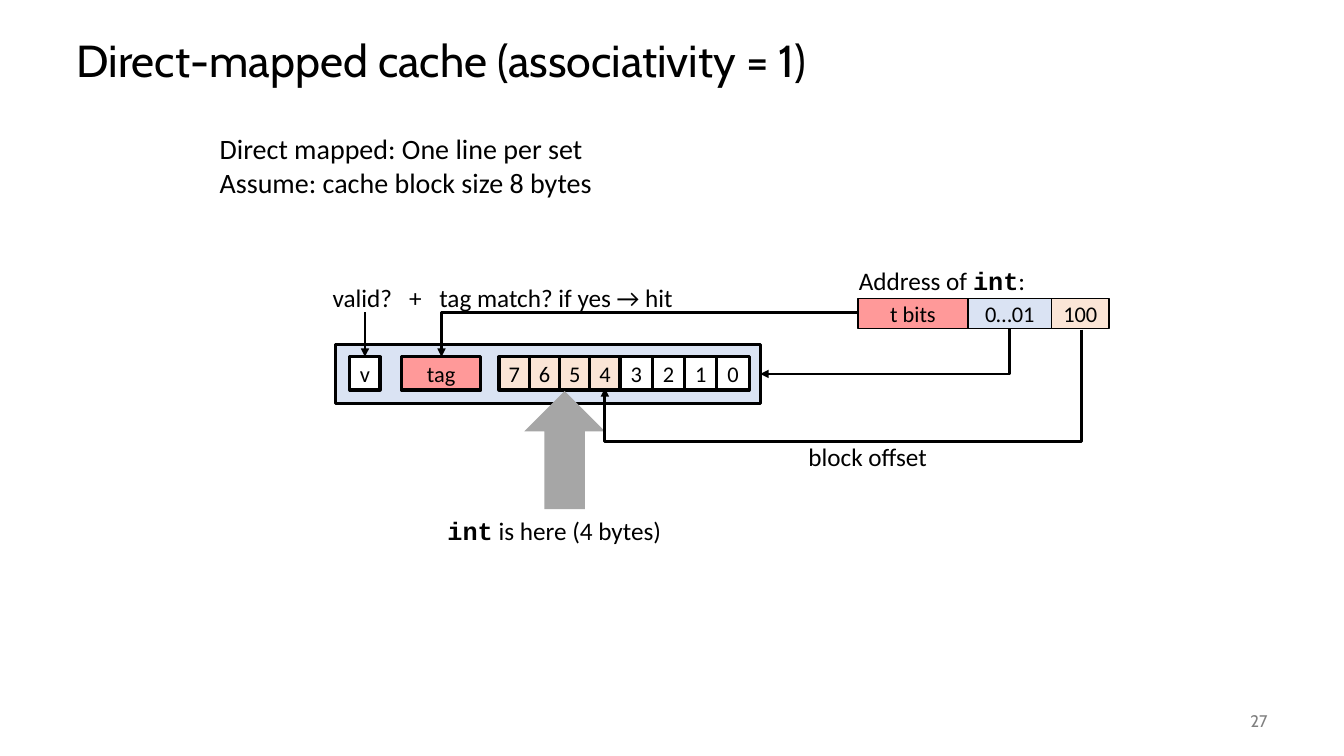
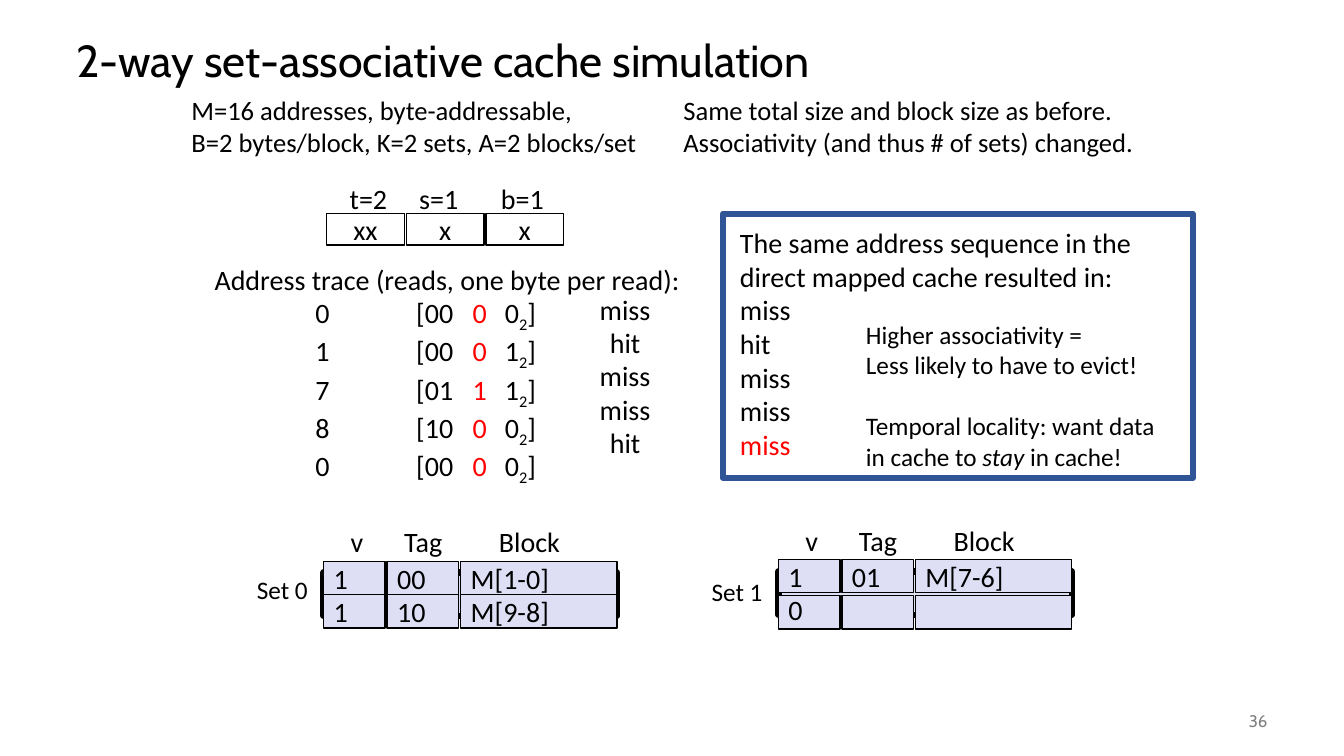
from lxml import etree
from pptx import Presentation
from pptx import util as u
from pptx.dml.color import RGBColor
from pptx.enum import shapes, text
from pptx.oxml.ns import qn

# Shared look
BLACK, WHITE, GREY, RED = "000000", "FFFFFF", "808080", "FF0000"
BLUE, PINK, PEACH = "DAE3F3", "FF9999", "FBE5D6"
LILAC, NAVY, ARROW_GREY = "DEDFF5", "2F5597", "A6A6A6"
BODY, HEADING = "Calibri", "Cabin"
CODE = dict(font="Courier New", bold=True)
LEFT, CENTER, RIGHT = text.PP_ALIGN.LEFT, text.PP_ALIGN.CENTER, text.PP_ALIGN.RIGHT
MIDDLE, TOP = text.MSO_ANCHOR.MIDDLE, text.MSO_ANCHOR.TOP


def rgb(color):
    return RGBColor.from_string(color)


def add_run(p, value, size, font=BODY, color=BLACK, bold=False, italic=False, sub=False):
    if value == "\n":
        p.add_line_break()
        return
    r = p.add_run()
    r.text = value
    f = r.font
    f.name, f.size, f.bold, f.italic = font, u.Pt(size), bold, italic
    f.color.rgb = rgb(color)
    if sub:
        r._r.get_or_add_rPr().set("baseline", "-25000")


def add_tabs(p, stops):
    tabs = etree.SubElement(p._p.get_or_add_pPr(), qn("a:tabLst"))
    for stop in stops:
        etree.SubElement(tabs, qn("a:tab"), pos=str(u.Inches(stop)), algn="l")


def write(sp, paragraphs, size=18, align=LEFT, anchor=TOP, inset=0.1,
          spacing=None, tabs=(), **style):
    """Each paragraph is a string or a list of strings and (string, style) pairs."""
    tf = sp.text_frame
    tf.word_wrap = True
    tf.vertical_anchor = anchor
    tf.margin_left = tf.margin_right = u.Inches(inset)
    tf.margin_top = tf.margin_bottom = u.Inches(inset / 2)
    for i, runs in enumerate(paragraphs):
        p = tf.add_paragraph() if i else tf.paragraphs[0]
        p.alignment = align
        if spacing:
            p.line_spacing = spacing
        if tabs:
            add_tabs(p, tabs)
        for item in [runs] if isinstance(runs, str) else runs:
            value, extra = (item, {}) if isinstance(item, str) else item
            add_run(p, value, size, **{**style, **extra})
    return tf


def label(s, x, y, w, h, *paragraphs, **style):
    sp = s.shapes.add_textbox(*map(u.Inches, (x, y, w, h)))
    return write(sp, paragraphs, **style)


def box(s, x, y, w, h, fill=None, line=BLACK, width=1.0, value=None,
        kind=shapes.MSO_SHAPE.RECTANGLE, **style):
    sp = s.shapes.add_shape(kind, *map(u.Inches, (x, y, w, h)))
    sp.shadow.inherit = False
    if fill:
        sp.fill.solid()
        sp.fill.fore_color.rgb = rgb(fill)
    else:
        sp.fill.background()
    if line:
        sp.line.color.rgb = rgb(line)
        sp.line.width = u.Pt(width)
    else:
        sp.line.fill.background()
    if value:
        write(sp, [value], anchor=MIDDLE, **style)
    return sp


def arrow(s, start, end, bend=None, adjust=(), tip="tailEnd"):
    """A straight arrow, or an elbow of the given preset with its adjustments."""
    kind = shapes.MSO_CONNECTOR.ELBOW if bend else shapes.MSO_CONNECTOR.STRAIGHT
    c = s.shapes.add_connector(kind, *map(u.Inches, (*start, *end)))
    c.line.color.rgb = rgb(BLACK)
    c.line.width = u.Pt(2)
    spPr = c._element.spPr
    if bend:
        geom = spPr.find(qn("a:prstGeom"))
        geom.set("prst", bend)
        guides = geom.find(qn("a:avLst"))
        if guides is None:
            guides = etree.SubElement(geom, qn("a:avLst"))
        for i, share in enumerate(adjust, 1):
            etree.SubElement(guides, qn("a:gd"), name=f"adj{i}",
                             fmla=f"val {round(share * 100000)}")
    etree.SubElement(c.line._get_or_add_ln(), qn("a:" + tip), type="triangle")
    etree.SubElement(spPr, qn("a:effectLst"))
    return c


def new_slide(prs, title, number):
    s = prs.slides.add_slide(prs.slide_layouts[6])
    label(s, 0.66, 0.25, 12, 0.75, title, size=32, font=HEADING,
          anchor=MIDDLE, spacing=0.9)
    label(s, 11.67, 6.95, 1, 0.4, number, size=12, font=HEADING, color=GREY,
          align=RIGHT, anchor=MIDDLE)
    return s


def direct_mapped(prs):
    s = new_slide(prs, "Direct-mapped cache (associativity = 1)", "27")
    label(s, 2.08, 1.26, 4.2, 0.77, "Direct mapped: One line per set",
          "Assume: cache block size 8 bytes", size=20)

    # Address fields
    cell = dict(size=16, align=CENTER, inset=0)
    label(s, 8.42, 2.58, 2.1, 0.4, ["Address of ", ("int", CODE), ":"])
    x = 8.51
    for value, w, fill in (("t bits", 1.09, PINK), ("0…01", 0.83, BLUE), ("100", 0.57, PEACH)):
        box(s, x, 2.96, w, 0.3, fill, value=value, **cell)
        x += w

    # Cache line with valid bit, tag and eight bytes
    cell.update(width=2.25)
    box(s, 3.33, 3.42, 4.21, 0.58, BLUE, width=2.25)
    valid = box(s, 3.47, 3.54, 0.3, 0.33, WHITE, value="v", **cell)
    box(s, 3.98, 3.54, 0.79, 0.33, PINK, value="tag", **cell)
    for x, w, fill, digits in ((4.95, 0.3, PEACH, "7654"), (6.15, 0.32, WHITE, "3210")):
        for i, digit in enumerate(digits):
            box(s, x + i * w, 3.54, w, 0.33, fill, value=digit, **cell)

    # Lookup arrows and their labels
    arrow(s, (7.54, 3.71), (10.01, 3.26), "bentConnector2", tip="headEnd")
    arrow(s, (8.51, 3.1), (4.38, 3.54), "bentConnector2")
    arrow(s, (3.62, 3.1), (3.62, 3.54)).end_connect(valid, 0)
    box(s, 5.2, 3.88, 0.8, 1.17, ARROW_GREY, None, kind=shapes.MSO_SHAPE.UP_ARROW)
    arrow(s, (10.73, 3.27), (6, 3.85), "bentConnector4", (0, 1.91))
    label(s, 3.2, 2.75, 1.2, 0.4, "valid?\t+", tabs=[0.76])
    label(s, 4.26, 2.75, 2.8, 0.4, "tag match? if yes → hit")
    label(s, 4.34, 5.06, 2.6, 0.4, [("int", CODE), " is here (4 bytes)"])
    label(s, 7.92, 4.33, 1.6, 0.4, "block offset")


def cache_set(s, name, x, frame_y, name_y, head_y, rows):
    box(s, x, frame_y, 2.91, 0.43, LILAC, width=4.5)
    label(s, x - 0.76, name_y, 0.9, 0.4, name)
    for head, dx in (("v", 0.17), ("Tag", 0.7), ("Block", 1.64)):
        label(s, x + dx, head_y, 1, 0.43, head, size=20)
    for y, values in rows:
        left = x
        # A lone valid bit sits a little higher in its cell
        spacing = None if values[1] else 0.8
        for value, w in zip(values, (0.61, 0.71, 1.55)):
            box(s, left, y, w, 0.33, LILAC, value=value, size=20, spacing=spacing)
            left += w + 0.02


def two_way(prs):
    s = new_slide(prs, "2-way set-associative cache simulation", "36")
    label(s, 1.8, 0.88, 4.85, 0.74, "M=16 addresses, byte-addressable,",
          "B=2 bytes/block, K=2 sets, A=2 blocks/set", size=19)
    label(s, 6.68, 0.88, 5, 0.74, "Same total size and block size as before.",
          "Associativity (and thus # of sets) changed.", size=19)

    # Address split
    fields = (("t=2", 3.37, "xx"), ("s=1", 4.06, "x"), ("b=1", 4.87, "x"))
    for i, (name, x, bits) in enumerate(fields):
        label(s, x, 1.75, 0.8, 0.43, name, size=20)
        box(s, 3.24 + i * 0.79, 2.12, 0.77, 0.31, WHITE, value=bits, size=20, align=CENTER)

    # Address trace and its results
    trace = [[f"\t{address}\t[{tag}\t", (index + "\t", dict(color=RED)), offset,
              ("2", dict(sub=True)), "]"]
             for address, tag, index, offset in
             ("0 00 0 0".split(), "1 00 0 1".split(), "7 01 1 1".split(),
              "8 10 0 0".split(), "0 00 0 0".split())]
    label(s, 2.03, 2.55, 5, 2.12, "Address trace (reads, one byte per read):", *trace,
          size=20, tabs=[1, 2, 2.56, 2.88])
    label(s, 5.8, 2.9, 0.8, 1.66, "miss", "hit", "miss", "miss", "hit",
          size=20, align=CENTER, inset=0, spacing=u.Pt(23.8))

    # Comparison with the direct-mapped cache
    box(s, 7.17, 2.12, 4.66, 2.62, line=NAVY, width=4.5)
    label(s, 7.24, 2.19, 4.51, 2.45,
          ["The same address sequence in the", "\n", "direct mapped cache resulted in:"],
          "miss", "hit", "miss", "miss", [("miss", dict(color=RED))], size=20)
    tf = label(s, 8.49, 3.12, 3.3, 1.62,
               "Higher associativity =", "Less likely to have to evict!",
               ["Temporal locality: want data", "\n", "in cache to ",
                ("stay", dict(italic=True)), " in cache!"])
    tf.paragraphs[2].space_before = u.Pt(22)

    # Cache contents
    cache_set(s, "Set 0", 3.21, 5.68, 5.65, 5.15,
              ((5.57, ("1", "00", "M[1-0]")), (5.9, ("1", "10", "M[9-8]"))))
    cache_set(s, "Set 1", 7.72, 5.67, 5.67, 5.14,
              ((5.55, ("1", "01", "M[7-6]")), (5.91, ("0", "", ""))))


def main():
    prs = Presentation()
    prs.slide_width, prs.slide_height = u.Inches(13.33), u.Inches(7.5)
    direct_mapped(prs)
    two_way(prs)
    prs.save("out.pptx")


if __name__ == "__main__":
    main()
